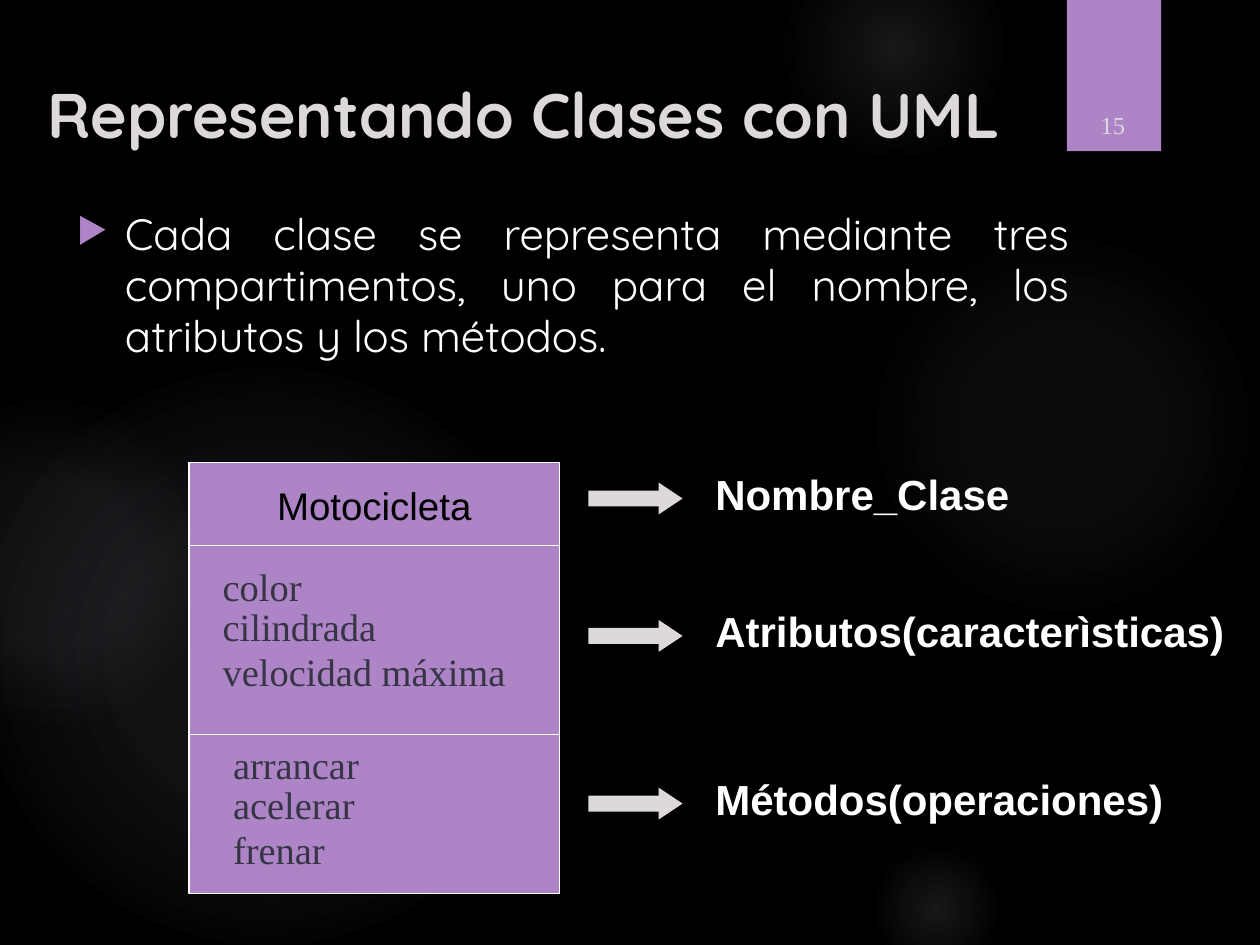
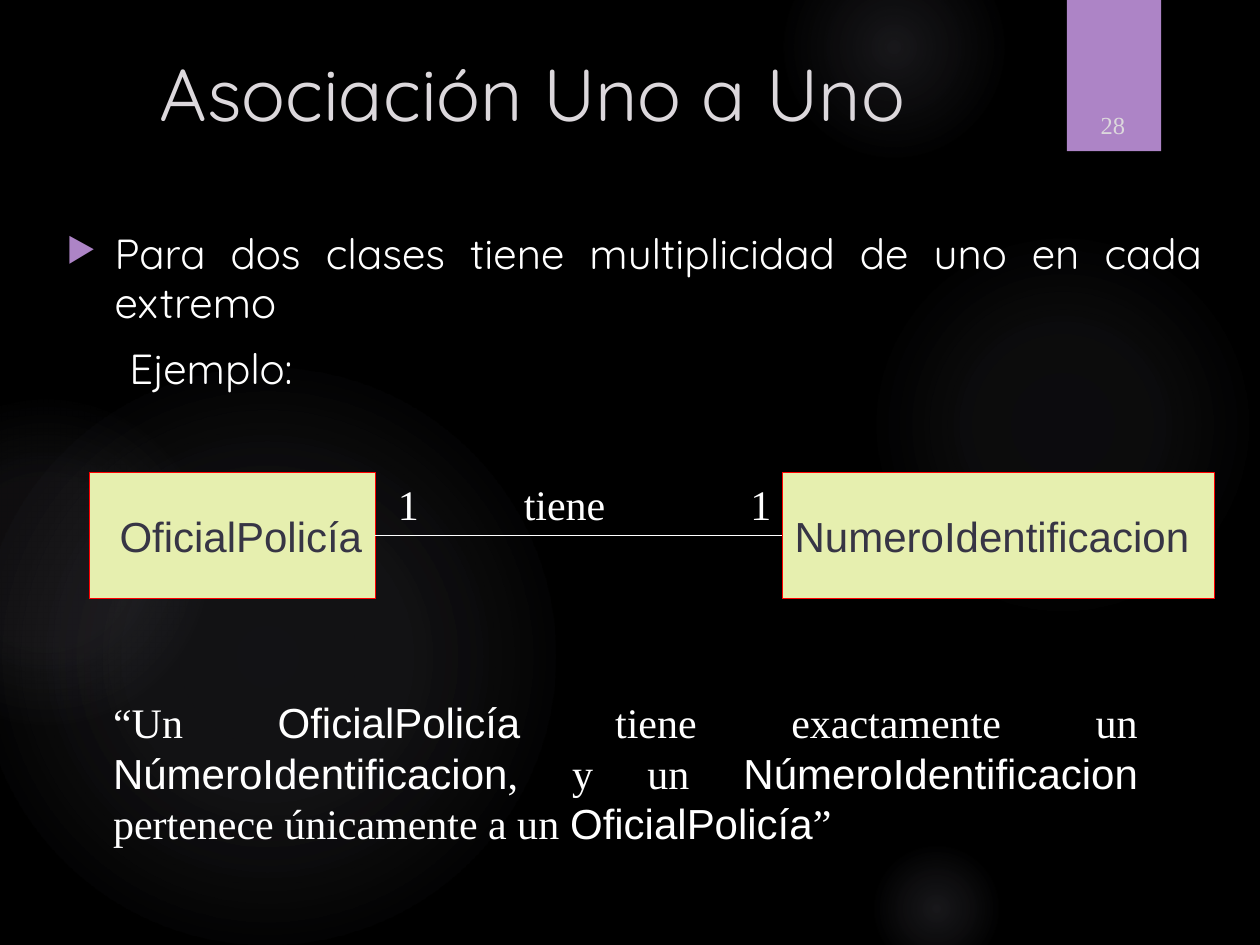
from typing import NamedTuple

from lxml import etree
from pptx import Presentation
from pptx import util as u
from pptx.dml.color import RGBColor
from pptx.enum import shapes, text
from pptx.oxml import parse_xml
from pptx.oxml.ns import nsdecls, qn

BLACK = RGBColor(0x00, 0x00, 0x00)
WHITE = RGBColor(0xFF, 0xFF, 0xFF)
PURPLE = RGBColor(0xAD, 0x84, 0xC6)
PALE = RGBColor(0xDC, 0xD8, 0xDC)
GLOW = RGBColor(0xAA, 0xA7, 0xBC)
SLATE = RGBColor(0x37, 0x35, 0x45)
LIME = RGBColor(0xE6, 0xEF, 0xAF)
RED = RGBColor(0xFF, 0x00, 0x00)

SANS, SERIF, DISPLAY = "Arial", "Times New Roman", "Quicksand"
LEFT, CENTER = text.PP_ALIGN.LEFT, text.PP_ALIGN.CENTER
JUSTIFY = text.PP_ALIGN.JUSTIFY
TOP, MIDDLE = text.MSO_ANCHOR.TOP, text.MSO_ANCHOR.MIDDLE
RECTANGLE = shapes.MSO_SHAPE.RECTANGLE


class Area(NamedTuple):
    """Left, top, width and height in centimetres."""
    left: float
    top: float
    width: float
    height: float

    def lengths(self) -> list:
        return [u.Cm(value) for value in self]


class Halo(NamedTuple):
    """Soft round light: place, size, opacities and end of the fade in percent."""
    left: float
    top: float
    diameter: float
    centre_alpha: int
    middle_alpha: int
    fade_end: int


class Part(NamedTuple):
    """Label naming one compartment of the class box."""
    label: str
    arrow_top: float
    width: float


class ClassBox(NamedTuple):
    """UML class drawn as a single box."""
    name: str
    area: Area
    inset: float


HALOS = [
    Halo(17.5, 4.65, 7.82, 7, 6, 69),
    Halo(15.8, -1.27, 4.45, 14, 7, 73),
    Halo(17.5, 16.94, 2.74, 14, 7, 66),
    Halo(-0.43, 7.42, 11.63, 11, 10, 75),
    Halo(-2.34, 8.05, 6.55, 8, 8, 72),
]


# Drawing helpers
def write(frame, content, *, size: float, font: str = SANS,
          color: RGBColor = WHITE, bold: bool = False, align=LEFT,
          before: float = 0, spacing=None, margin: float = 0,
          indent: float = 0, bullet: bool = False) -> None:
    """Add a paragraph; content is a string or a list of (text, font) pairs."""
    paragraph = frame.paragraphs[0]
    if paragraph.runs:
        paragraph = frame.add_paragraph()
    paragraph.alignment = align
    paragraph.space_before = u.Pt(before)
    if spacing is not None:
        paragraph.line_spacing = spacing
    properties = paragraph._p.get_or_add_pPr()
    properties.set("marL", str(u.Cm(margin)))
    properties.set("indent", str(u.Cm(indent)))
    if bullet:
        color_mark = etree.SubElement(properties, qn("a:buClr"))
        etree.SubElement(color_mark, qn("a:srgbClr"), val=str(PURPLE))
        etree.SubElement(properties, qn("a:buSzPct"), val="80000")
        etree.SubElement(properties, qn("a:buChar"), char="▶")
    pieces = [(content, font)] if isinstance(content, str) else content
    for words, typeface in pieces:
        run = paragraph.add_run()
        run.text = words
        run.font.name = typeface
        run.font.size = u.Pt(size)
        run.font.bold = bold
        run.font.color.rgb = color


def add_text_frame(slide, area: Area, *, wrap: bool = True, anchor=TOP):
    frame = slide.shapes.add_textbox(*area.lengths()).text_frame
    frame.word_wrap = wrap
    frame.vertical_anchor = anchor
    return frame


def add_block(slide, kind, area: Area, fill: RGBColor, line: RGBColor = None):
    shape = slide.shapes.add_shape(kind, *area.lengths())
    shape.shadow.inherit = False
    shape.fill.solid()
    shape.fill.fore_color.rgb = fill
    if line is None:
        shape.line.fill.background()
    else:
        shape.line.color.rgb = line
        shape.line.width = u.Pt(0.75)
    return shape


def add_line(slide, left: float, top: float, right: float, bottom: float):
    line = slide.shapes.add_connector(
        shapes.MSO_CONNECTOR.STRAIGHT,
        u.Cm(left), u.Cm(top), u.Cm(right), u.Cm(bottom))
    line.line.color.rgb = WHITE
    line.line.width = u.Pt(0.75)
    etree.SubElement(line._element.spPr, qn("a:effectLst"))
    return line


def add_halo(slide, halo: Halo) -> None:
    area = Area(halo.left, halo.top, halo.diameter, halo.diameter)
    shape = add_block(slide, shapes.MSO_SHAPE.OVAL, area, GLOW)
    stops = [(0, halo.centre_alpha), (36, halo.middle_alpha), (halo.fade_end, 0)]
    stop_xml = "".join(
        f'<a:gs pos="{position * 1000}"><a:srgbClr val="{GLOW}">'
        f'<a:alpha val="{alpha * 1000}"/></a:srgbClr></a:gs>'
        for position, alpha in stops)
    gradient = parse_xml(
        f'<a:gradFill {nsdecls("a")} rotWithShape="1"><a:gsLst>{stop_xml}</a:gsLst>'
        '<a:path path="circle"><a:fillToRect l="50000" t="50000" r="50000" '
        'b="50000"/></a:path></a:gradFill>')
    properties = shape._element.spPr
    properties.replace(properties.find(qn("a:solidFill")), gradient)


# Shared background, page badge and title
def add_base_slide(presentation, number: int, title: str, title_area: Area,
                   size: float, bold: bool = False):
    slide = presentation.slides.add_slide(presentation.slide_layouts[6])
    slide.background.fill.solid()
    slide.background.fill.fore_color.rgb = BLACK
    for halo in HALOS:
        add_halo(slide, halo)
    add_block(slide, RECTANGLE, Area(21.51, 0, 1.9, 3.05), PURPLE)
    write(add_text_frame(slide, title_area), title, size=size, font=DISPLAY,
          color=PALE, bold=bold)
    badge = add_text_frame(slide, Area(21.56, 0.81, 1.75, 2.13),
                           anchor=text.MSO_ANCHOR.BOTTOM)
    write(badge, str(number), size=14, font=SERIF, color=PALE, align=CENTER)
    return slide


def add_body(slide, area: Area, words: str, size: float):
    frame = add_text_frame(slide, area)
    write(frame, words, size=size, font=DISPLAY, align=JUSTIFY, spacing=0.97,
          margin=0.97, indent=-0.97, bullet=True)
    return frame


def add_members(slide, area: Area, names: list[str]) -> None:
    frame = add_text_frame(slide, area, wrap=False)
    for name, spacing in zip(names, (None, u.Pt(23), u.Pt(25.5))):
        write(frame, name, size=22, font=SERIF, color=SLATE, spacing=spacing)


def build_class_slide(presentation) -> None:
    slide = add_base_slide(presentation, 15, "Representando Clases con UML",
                           Area(0.71, 1.4, 20.68, 3.12), 36, bold=True)
    add_body(slide, Area(1.3, 4.11, 20.5, 13.21),
             "Cada clase se representa mediante tres compartimentos, uno para "
             "el nombre, los atributos y los métodos.", 25)

    # Class box with its three compartments
    box = Area(3.81, 9.32, 7.47, 8.69)
    add_block(slide, RECTANGLE, box, PURPLE, WHITE)
    for divider in (11.0, 14.81):
        add_line(slide, box.left, divider, box.left + box.width, divider)
    name_frame = add_text_frame(slide, Area(box.left, 9.6, box.width, 1.19))
    write(name_frame, "Motocicleta", size=22, color=BLACK, align=CENTER)
    add_members(slide, Area(4.24, 11.23, 6.22, 3.05),
                ["color", "cilindrada", "velocidad máxima"])
    add_members(slide, Area(4.45, 14.81, 3.05, 3.05),
                ["arrancar", "acelerar", "frenar"])

    # Arrows and compartment names
    for part in (Part("Nombre_Clase", 9.73, 6.45),
                 Part("Atributos(caracterìsticas)", 12.5, 10.77),
                 Part("Métodos(operaciones)", 15.88, 9.55)):
        arrow = add_block(slide, shapes.MSO_SHAPE.RIGHT_ARROW,
                          Area(11.86, part.arrow_top, 1.9, 0.64), PALE)
        arrow.adjustments[0], arrow.adjustments[1] = 0.5, 0.75
        label = add_text_frame(
            slide, Area(14.17, part.arrow_top - 0.42, part.width, 1.27), wrap=False)
        write(label, part.label, size=24, bold=True)


def add_class_box(slide, box: ClassBox):
    shape = add_block(slide, RECTANGLE, box.area, LIME, RED)
    frame = shape.text_frame
    frame.word_wrap = True
    frame.vertical_anchor = MIDDLE
    frame.margin_left, frame.margin_right = u.Cm(box.inset), 0
    write(frame, box.name, size=24, color=SLATE)
    return shape


def build_association_slide(presentation) -> None:
    slide = add_base_slide(presentation, 28, "Asociación Uno a Uno",
                           Area(2.97, 0.84, 22.43, 3.18), 42)
    body = add_body(slide, Area(1.09, 4.52, 23.39, 11.61),
                    "Para dos clases tiene multiplicidad de uno en cada extremo", 24)
    write(body, "Ejemplo:", size=24, font=DISPLAY, before=10, spacing=0.97,
          margin=2.06, indent=-0.79)

    # Statement of the association
    statement = add_text_frame(slide, Area(2.03, 13.92, 21.16, 3.3))
    write(statement, [
        ("“Un ", SERIF), ("OficialPolicía", SANS),
        (" tiene exactamente un ", SERIF), ("NúmeroIdentificacion", SANS),
        (", y un ", SERIF), ("NúmeroIdentificacion ", SANS),
        ("pertenece únicamente a un ", SERIF), ("OficialPolicía", SANS),
        ("”", SERIF)], size=24, align=JUSTIFY)

    # Two classes joined by the association line
    officer = add_class_box(
        slide, ClassBox("OficialPolicía", Area(1.8, 9.53, 5.77, 2.54), 0.61))
    identity = add_class_box(
        slide, ClassBox("NumeroIdentificacion", Area(15.77, 9.53, 8.71, 2.54), 0.25))
    association = add_line(slide, 7.57, 10.8, 15.77, 10.8)
    association.begin_connect(officer, 3)
    association.end_connect(identity, 1)
    for label, left, width in (("1", 7.77, 0.94), ("tiene", 10.31, 2.16),
                               ("1", 14.88, 0.94)):
        frame = add_text_frame(slide, Area(left, 9.53, width, 1.27), wrap=False)
        write(frame, label, size=24, font=SERIF)


def main() -> None:
    presentation = Presentation()
    presentation.slide_width = u.Cm(25.4)
    presentation.slide_height = u.Cm(19.05)
    build_class_slide(presentation)
    build_association_slide(presentation)
    presentation.save("out.pptx")


if __name__ == "__main__":
    main()
